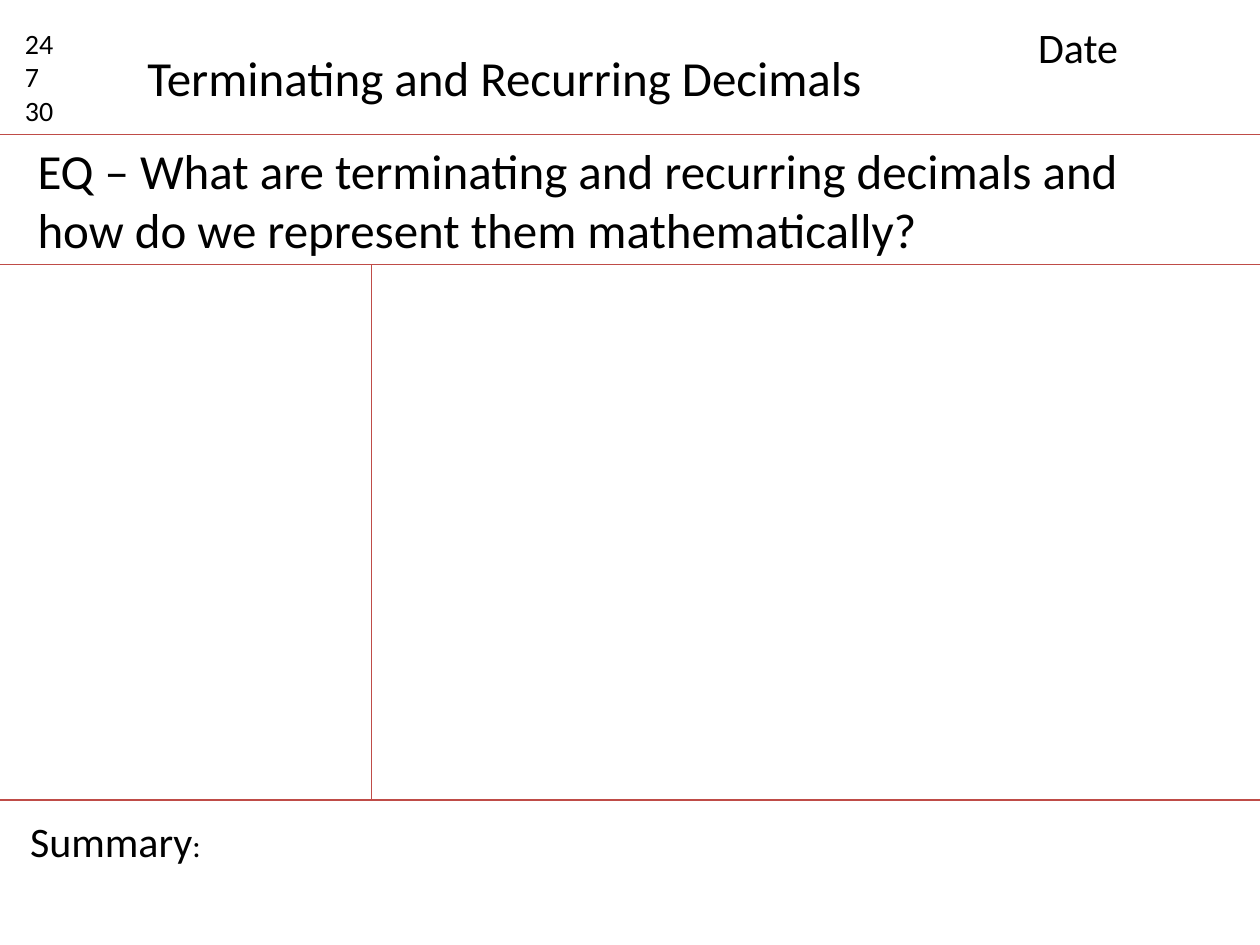
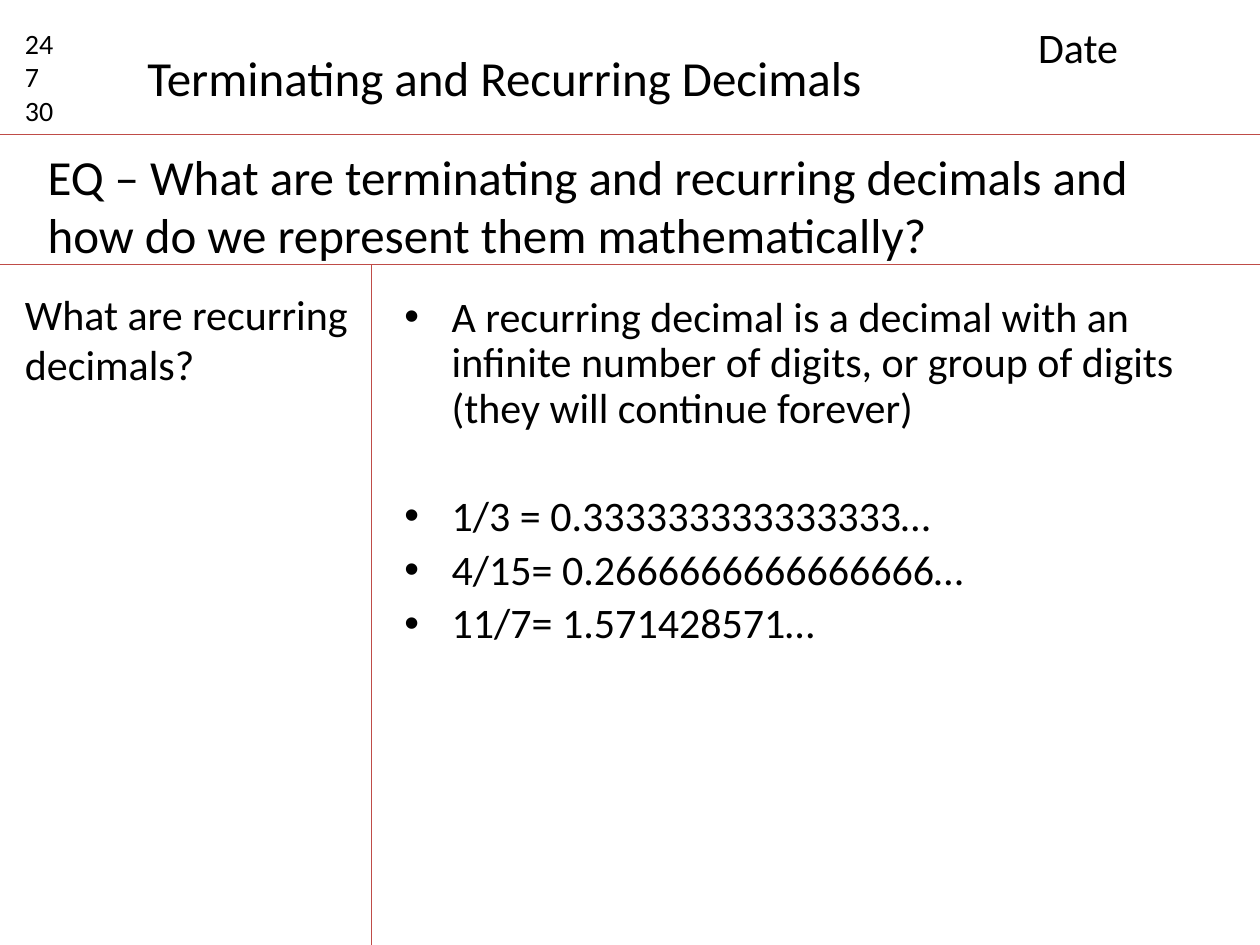
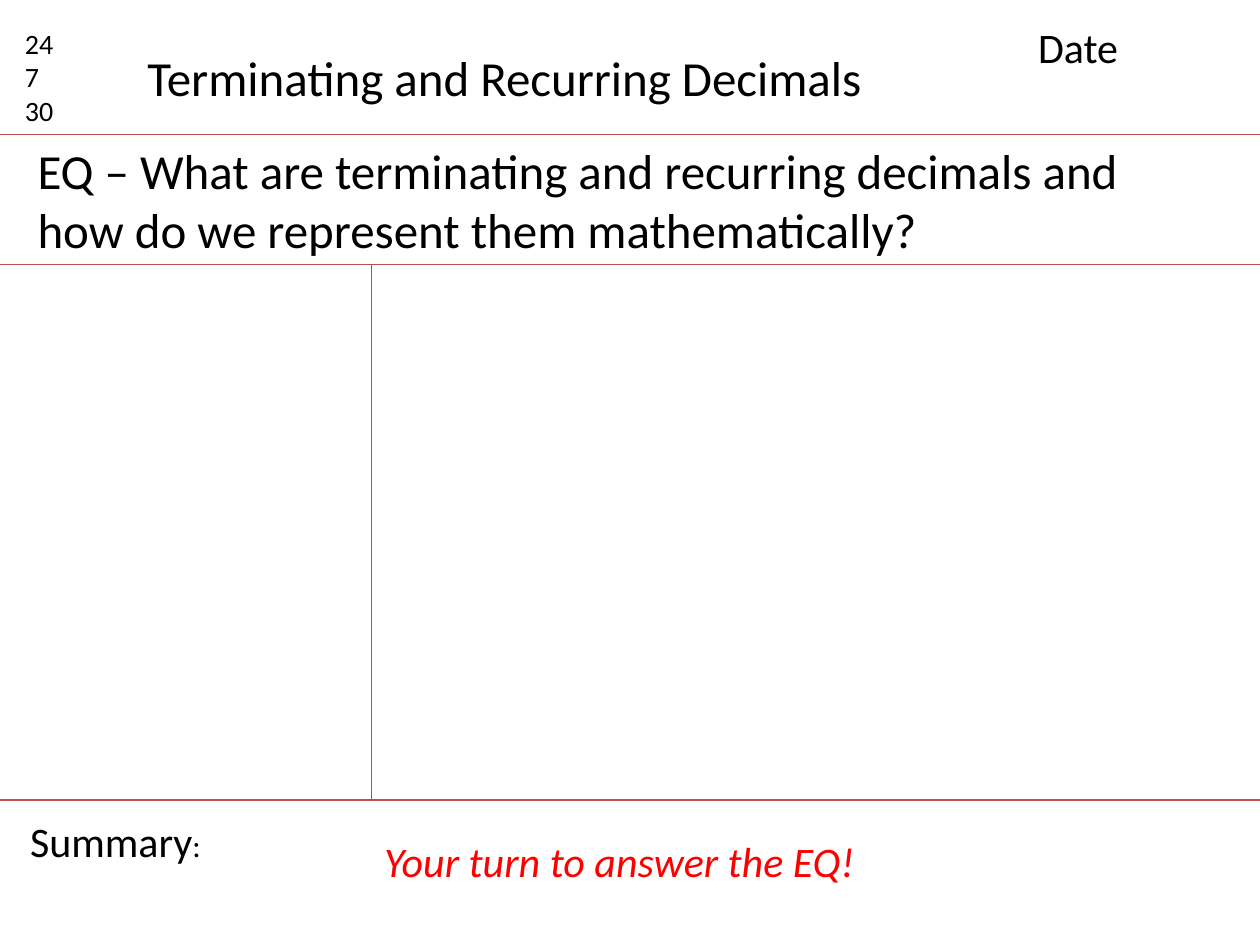
from lxml.etree import SubElement
from pptx import Presentation
from pptx.dml.color import RGBColor
from pptx.enum.shapes import MSO_CONNECTOR as Link
from pptx.enum.text import MSO_ANCHOR as Anchor, MSO_AUTO_SIZE as Fit, PP_ALIGN as Align
from pptx.oxml.ns import qn
from pptx.util import Inches, Pt

FONT, INK, RULE, RED = "Calibri", "000000", "BF4C48", "FF0000"
WIDE, HIGH = 10, 7.5
HEAD, ASK, FOOT, CUE = 1.07, 2.1, 6.35, 2.95
TITLE = "Terminating and Recurring Decimals"
QUERY = ("EQ – What are terminating and recurring decimals "
         "and how do we represent them mathematically?")
FACTS = [
    "A recurring decimal is a decimal with an infinite number of digits, "
    "or group of digits (they will continue forever)",
    "1/3 = 0.333333333333333…",
    "4/15= 0.2666666666666666…",
    "11/7= 1.571428571…",
]
GAPS = [0, 36, 4.8, 4.8]

deck = Presentation()
deck.slide_width, deck.slide_height = Inches(WIDE), Inches(HIGH)


def write(shape, place, lines, size, color=INK, slant=False):
    shape.left, shape.top, shape.width, shape.height = map(Inches, place)
    frame = shape.text_frame
    frame.word_wrap, frame.auto_size = True, Fit.NONE
    frame.vertical_anchor = Anchor.TOP
    for row, line in enumerate(lines):
        para = frame.add_paragraph() if row else frame.paragraphs[0]
        para.alignment = Align.LEFT
        for part, points in line if isinstance(line, list) else [(line, size)]:
            run = para.add_run()
            run.text = part
            run.font.name, run.font.size = FONT, Pt(points)
            run.font.italic = slant
            run.font.color.rgb = RGBColor.from_string(color)
    return frame


def rule(slide, x1, y1, x2, y2):
    line = slide.shapes.add_connector(Link.STRAIGHT, *map(Inches, (x1, y1, x2, y2)))
    line.line.color.rgb = RGBColor.from_string(RULE)
    line.line.width = Pt(0.75)
    SubElement(line._element.spPr, qn("a:effectLst"))


for page in ("start", "notes", "close"):
    notes = page == "notes"
    slide = deck.slides.add_slide(deck.slide_layouts[1 if notes else 5])
    base = HIGH if notes else FOOT
    for y in (HEAD, ASK) if notes else (HEAD, ASK, FOOT):
        rule(slide, 0, y, WIDE, y)
    rule(slide, CUE, ASK, CUE, base)

    write(slide.shapes.title, (1.07, 0.33, 5.93, 0.57), [TITLE], 28)
    spot = (0.28, 1.11) if notes else (0.2, HEAD)
    texts = [
        ((0.1, 0.16, 0.63, 0.91), ["24", "7", "30"], 16),
        ((8.14, 0.12, 1.73, 0.5), ["Date"], 24),
        ((*spot, 8.9, 1.04), [QUERY], 28),
    ]
    if notes:
        texts.append(((0.1, 2.24, 2.77, 0.91), ["What are recurring decimals?"], 24))
        body = write(slide.placeholders[1], (3.11, 2.3, 6.76, 5.14), FACTS, 24)
        for para, gap in zip(body.paragraphs, GAPS):
            para.line_spacing, para.space_before = 0.9, Pt(gap)
    else:
        texts.append(((0.14, 6.42, 1.57, 0.5), [[("Summary", 24), (":", 18)]], 24))
    if page == "close":
        texts.append(((CUE, 6.58, 4.01, 0.5), ["Your turn to answer the EQ!"], 24, RED, True))
    for place, *rest in texts:
        write(slide.shapes.add_textbox(0, 0, 0, 0), place, *rest)

deck.save("out.pptx")
